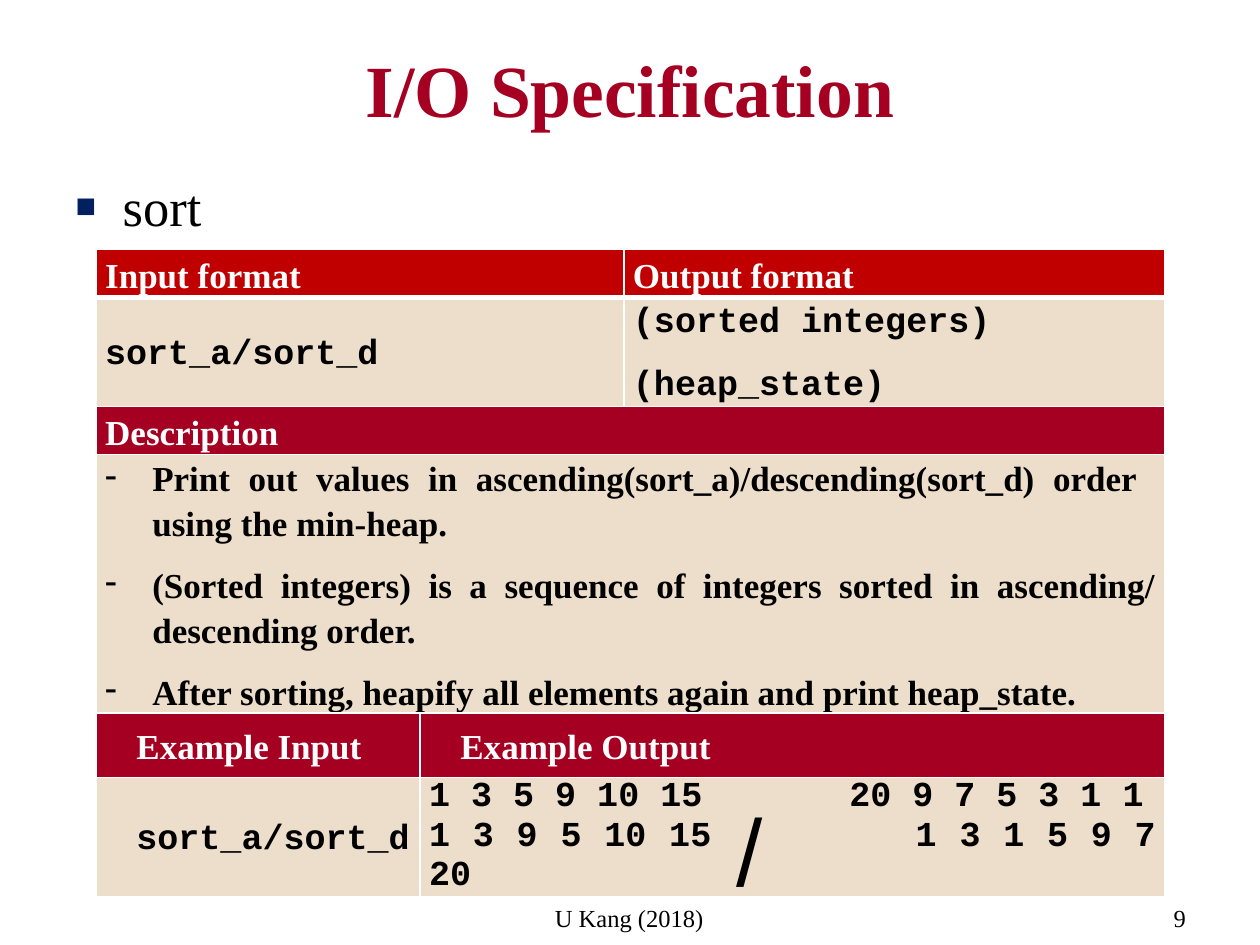
from lxml import etree
from pptx import Presentation
from pptx.dml.color import RGBColor
from pptx.enum import text
from pptx.oxml import ns
from pptx.util import Cm, Pt

SERIF, MONO, SANS = "Times New Roman", "Courier New", "Arial"
RED, CRIMSON, SAND, WHITE, BLACK = "C00000", "A50021", "ECDECB", "FFFFFF", "000000"
LEFT, CENTER, JUSTIFY = (text.PP_ALIGN.LEFT, text.PP_ALIGN.CENTER,
                         text.PP_ALIGN.JUSTIFY)

TITLE = "I/O Specification"
COMMAND = "sort"
COLUMNS = [6.53, 4.11, 10.9]
ROWS = [0.97, 0.97, 0.97, 4.95, 1.3, 1.45]

HEAD = {"font": SERIF, "color": WHITE}
CODE = {"font": MONO}
HANGING = {"align": JUSTIFY, "indent": (1.27, -0.64)}
LIST = {"align": JUSTIFY, "indent": (0.95, -0.95), "bullet": "-"}
# row, column, columns spanned, fill, format, paragraphs
CELLS = [
    (0, 0, 2, RED, HEAD, ["Input format"]),
    (0, 2, 1, RED, HEAD, ["Output format"]),
    (1, 0, 2, SAND, CODE, ["sort_a/sort_d"]),
    (1, 2, 1, SAND, CODE, ["(sorted integers)", "(heap_state)"]),
    (2, 0, 3, CRIMSON, HEAD, ["Description"]),
    (3, 0, 3, SAND, LIST, [
        "Print out values in ascending(sort_a)/descending(sort_d) order \v"
        "using the min-heap.",
        "(Sorted integers) is a sequence of integers sorted in ascending/\v"
        "descending order.",
        "After sorting, heapify all elements again and print heap_state."]),
    (4, 0, 1, CRIMSON, HEAD | HANGING, ["Example Input"]),
    (4, 1, 2, CRIMSON, HEAD | HANGING, ["Example Output"]),
    (5, 0, 1, SAND, CODE | HANGING, ["sort_a/sort_d"]),
    (5, 1, 2, SAND, CODE | {"spacing": 1, "after": 0}, []),
]
# text, alignment, tab stop
RESULTS = [("1 3 5 9 10 15\t20 9 7 5 3 1 1", LEFT, 8.47),
           ("1 3 9 5 10 15\t1 3 1 5 9 7 20", JUSTIFY, 9.63)]
# text, left, top, width, height, size, font
LABELS = [("U Kang (2018)", 10.92, 18.08, 3.53, 0.86, 14, SERIF),
          ("9", 23.24, 18.08, 1.09, 0.86, 14, SERIF),
          ("/", 14.6, 15.85, 1.04, 2.57, 54, SANS)]


def rgb(value):
    return RGBColor.from_string(value)


def add_xml(parent, tag, **attributes):
    return etree.SubElement(parent, ns.qn(tag), attributes)


def write(para, words, size=20, font=SERIF, color=BLACK, bold=True, align=LEFT,
          spacing=1, after=0, indent=None, bullet=None, bullet_color=None, tab=None):
    para.text = words
    layout = {"alignment": align, "line_spacing": spacing,
              "space_after": Pt(after), "space_before": Pt(0)}
    for name, value in layout.items():
        setattr(para, name, value)
    for span in para.runs:
        for name, value in {"size": Pt(size), "name": font, "bold": bold}.items():
            setattr(span.font, name, value)
        span.font.color.rgb = rgb(color)
    props = para._p.get_or_add_pPr()
    if indent:
        props.set("marL", str(Cm(indent[0])))
        props.set("indent", str(Cm(indent[1])))
    if bullet_color:
        add_xml(add_xml(props, "a:buClr"), "a:srgbClr", val=bullet_color)
        add_xml(props, "a:buSzPct", val="65000")
    if bullet:
        add_xml(props, "a:buChar", char=bullet)
    if tab:
        add_xml(add_xml(props, "a:tabLst"), "a:tab", pos=str(Cm(tab)), algn="l")


def set_borders(cell, row):
    props = cell._tc.get_or_add_tcPr()
    widths = {"L": 1, "R": 1, "T": 3 if row == 1 else 1, "B": 3 if row == 0 else 1}
    for side, width in widths.items():
        line = add_xml(props, f"a:ln{side}", w=str(Pt(width)))
        add_xml(add_xml(line, "a:solidFill"), "a:srgbClr", val=WHITE)


def place(shape, left, top, width, height):
    for name, value in zip(("left", "top", "width", "height"),
                           (left, top, width, height)):
        setattr(shape, name, Cm(value))


def paragraphs(frame, count):
    return [frame.paragraphs[0]] + [frame.add_paragraph() for _ in range(count - 1)]


def add_headings(page):
    title, body = page.shapes.title, page.placeholders[1]
    place(title, 1.27, 0.76, 22.86, 3.18)
    place(body, 1.27, 3.38, 22.86, 2.34)
    for shape in (title, body):
        shape.text_frame.vertical_anchor = text.MSO_ANCHOR.TOP
        shape.text_frame.auto_size = text.MSO_AUTO_SIZE.NONE
    write(title.text_frame.paragraphs[0], TITLE, size=42, color=CRIMSON, align=CENTER)
    para = body.text_frame.paragraphs[0]
    write(para, COMMAND, size=30, bold=False, indent=(0.95, -0.95),
          bullet="■", bullet_color="002060")
    para.space_before = Pt(6)


def add_specification(page):
    table = page.shapes.add_table(len(ROWS), len(COLUMNS), Cm(1.94), Cm(5.03),
                                  Cm(sum(COLUMNS)), Cm(sum(ROWS))).table
    for column, width in zip(table.columns, COLUMNS):
        column.width = Cm(width)
    for row, height in zip(table.rows, ROWS):
        row.height = Cm(height)
    for row, column, spanned, fill, style, lines in CELLS:
        cell = table.cell(row, column)
        last = column + spanned - 1
        if spanned > 1:
            cell.merge(table.cell(row, last))
        for part in range(column, last + 1):
            set_borders(table.cell(row, part), row)
        cell.fill.solid()
        cell.fill.fore_color.rgb = rgb(fill)
        cell.vertical_anchor = text.MSO_ANCHOR.MIDDLE
        cell.margin_left = cell.margin_right = Cm(0.18)
        cell.margin_top = cell.margin_bottom = 0
        style = {"spacing": 1.15, "after": 10} | style
        entries = [(line, {}) for line in lines] or [
            (line, {"align": align, "tab": tab}) for line, align, tab in RESULTS]
        paras = paragraphs(cell.text_frame, len(entries))
        for para, (line, extra) in zip(paras, entries):
            write(para, line, **(style | extra))


def add_labels(page):
    for words, left, top, width, height, size, font in LABELS:
        box = page.shapes.add_textbox(Cm(left), Cm(top), Cm(width), Cm(height))
        box.text_frame.word_wrap = False
        write(box.text_frame.paragraphs[0], words, size=size, font=font,
              bold=False, align=CENTER)


def main():
    deck = Presentation()
    deck.slide_width, deck.slide_height = Cm(25.4), Cm(19.05)
    page = deck.slides.add_slide(deck.slide_layouts[1])
    add_headings(page)
    add_specification(page)
    add_labels(page)
    deck.save("out.pptx")


if __name__ == "__main__":
    main()
